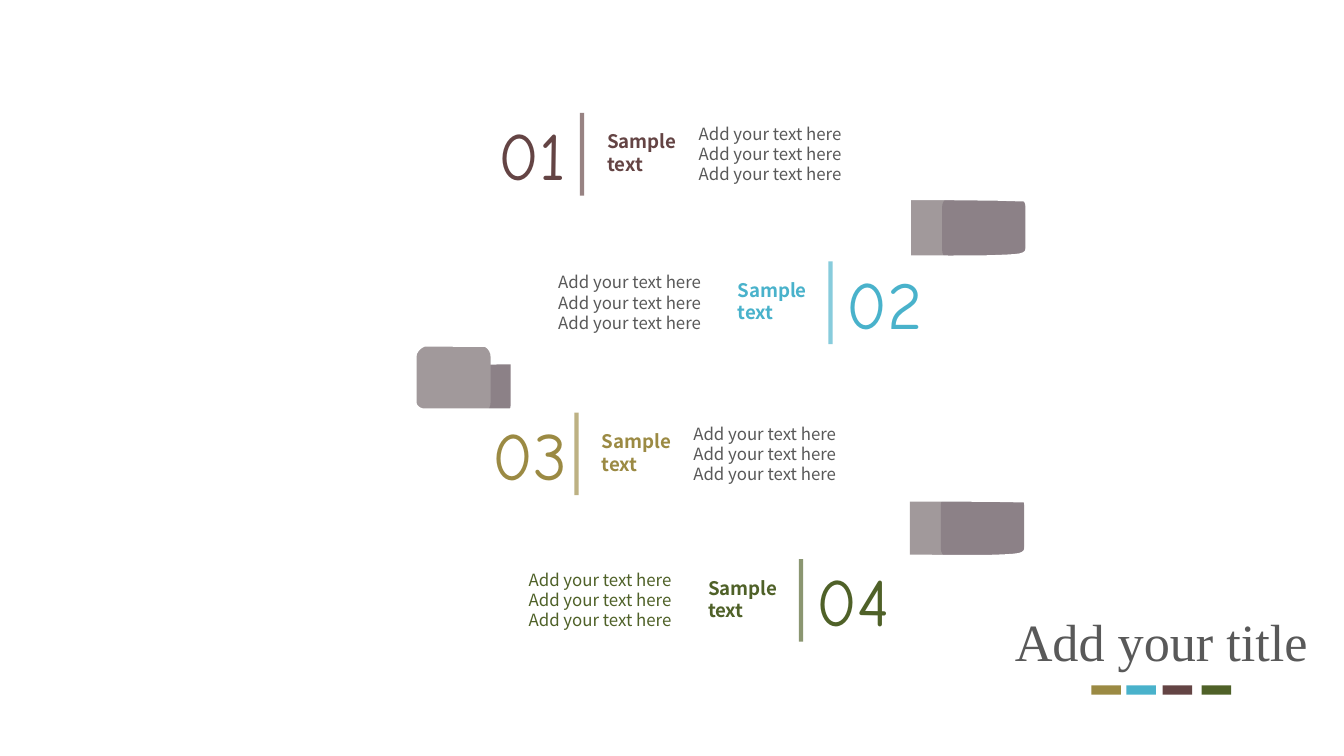
from lxml import etree
from pptx import Presentation
from pptx.dml.color import RGBColor
from pptx.enum.shapes import MSO_CONNECTOR, MSO_SHAPE
from pptx.enum.text import MSO_ANCHOR, MSO_AUTO_SIZE, PP_ALIGN
from pptx.oxml.ns import qn
from pptx.util import Inches, Pt

STRAIGHT = MSO_CONNECTOR.STRAIGHT
RECTANGLE, ROUNDED = MSO_SHAPE.RECTANGLE, MSO_SHAPE.ROUNDED_RECTANGLE
TOP, GROW = MSO_ANCHOR.TOP, MSO_AUTO_SIZE.SHAPE_TO_FIT_TEXT
LEFT, CENTER = PP_ALIGN.LEFT, PP_ALIGN.CENTER

COLUMNS = 100  # grid of tenth-inch cells
ROWS = COLUMNS * 9 / 16
BROWN, BLUE, GOLD, GREEN = "644444", "49B2CB", "9B8A43", "4F6128"
GREY, LIGHT_TAB, DARK_TAB, PAPER = "595959", "A1999B", "8C8187", "FFFFFF"

# Ribbon outlines in cells: a start point, then lines (x, y)
# and curves (two control points and an end point).
RIBBON_ONE = [(30.9, 7.4), (31.1, 7.5, 31.1, 7.9, 31.6, 8), (69.6, 8),
              (70.4, 8.2, 70.4, 8.3, 70.9, 8.9), (71.8, 9.9, 75.2, 13.3, 76.4, 15),
              (70.7, 14.7, 43.9, 15.1, 37.1, 15), (36.8, 15, 36.1, 14.9, 35.8, 14.4),
              (33.4, 11.1, 31.1, 8.4, 30.9, 7.4)]
RIBBON_TWO = [(30.9, 26.5), (31.1, 26.3, 31.1, 26, 31.6, 25.8), (69.6, 25.9),
              (70, 26, 70.7, 25.7, 71.2, 25.1), (75.4, 20.4, 76.5, 19.7, 76.5, 17.9),
              (76.1, 18.9, 76.9, 18.9, 73.3, 19), (66.7, 19.1, 43.2, 18.7, 37.1, 18.8),
              (36.9, 18.8, 36.1, 19, 35.8, 19.4), (33.4, 22.8, 31.1, 25.4, 30.9, 26.5)]
RIBBON_TWO_BACK = [(72.3, 19.6), (72.1, 19.8, 72.2, 20.1, 71.8, 20.3), (40.5, 20.1),
                   (39.8, 20.4, 39.8, 20.5, 39.4, 21), (38.7, 22, 36, 25.5, 35, 27.2),
                   (39.7, 26.9, 61.8, 27.3, 67.4, 27.3), (67.6, 27.3, 68.2, 27.1, 68.4, 26.7),
                   (70.3, 23.3, 72.2, 20.7, 72.3, 19.6)]
RIBBON_THREE = [(30.8, 29.8), (31, 29.9, 31, 30.3, 31.5, 30.4), (69.5, 30.4),
                (70.3, 30.7, 70.4, 30.7, 70.9, 31.3), (71.8, 32.3, 75.1, 35.7, 76.4, 37.4),
                (70.6, 37.2, 43.8, 37.5, 37, 37.4), (36.8, 37.5, 36, 37.3, 35.7, 36.8),
                (33.3, 33.5, 31, 30.8, 30.8, 29.8)]
RIBBON_FOUR = [(30.8, 48.8), (30.9, 48.6, 30.9, 48.2, 31.4, 48.1), (69.4, 48.1),
               (69.9, 48.3, 70.6, 47.9, 71, 47.4), (75.3, 42.7, 76.3, 41.9, 76.4, 40.2),
               (76, 41.2, 76.8, 41.2, 73.2, 41.3), (66.5, 41.3, 43, 41, 36.9, 41.1),
               (36.7, 41.1, 36, 41.2, 35.7, 41.7), (33.2, 45.1, 30.9, 47.7, 30.8, 48.8)]

# number, colour, body colour, rule column, rule row, number on the left
STEPS = [("01", BROWN, GREY, 43.3, 8.4, True), ("02", BLUE, GREY, 61.8, 19.45, False),
         ("03", GOLD, GREY, 42.9, 30.7, True), ("04", GREEN, GREEN, 59.6, 41.6, False)]


def cells(*values):
    return [Inches(value / 10) for value in values]


def color(hex_string):
    return RGBColor.from_string(hex_string)


def write(box, text, *, size, font, fill, bold=False, align=LEFT):
    """Fill a box with one paragraph per line of text."""
    frame = box.text_frame
    frame.word_wrap, frame.auto_size, frame.vertical_anchor = True, GROW, TOP
    frame.text = text
    for para in frame.paragraphs:
        para.alignment = align
        for span in para.runs:
            span.font.size, span.font.name, span.font.bold = Pt(size), font, bold
            span.font.color.rgb = color(fill)


def outline_points(path, steps=10):
    """Turn lines and Bézier curves into a list of points."""
    points = [path[0]]
    for segment in path[1:]:
        if len(segment) == 2:
            points.append(segment)
            continue
        knots = [points[-1], segment[:2], segment[2:4], segment[4:]]
        for step in range(1, steps + 1):
            t = step / steps
            weights = ((1 - t) ** 3, 3 * t * (1 - t) ** 2, 3 * t * t * (1 - t), t ** 3)
            points.append(tuple(sum(w * knot[axis] for w, knot in zip(weights, knots))
                                for axis in (0, 1)))
    return points


class Canvas:
    """Fonts plus the page, or the group on it, that receives new elements."""
    number_font, text_font, title_font = "Comic Neue", "Noto Sans CJK KR", "Times New Roman"

    def __init__(self, page):
        self.page, self.shapes = page, page.shapes

    def paint(self, shape, fill):
        shape.shadow.inherit = False
        shape.fill.solid()
        shape.fill.fore_color.rgb = color(fill)
        shape.line.fill.background()

    def block(self, kind, left, top, width, height, fill):
        shape = self.shapes.add_shape(kind, *cells(left, top, width, height))
        self.paint(shape, fill)

    def ribbon(self, path):
        points = [cells(*point) for point in outline_points(path)]
        builder = self.shapes.build_freeform(*points[0])
        builder.add_line_segments(points[1:], close=True)
        self.paint(builder.convert_to_shape(), PAPER)

    def text(self, text, left, top, width, height, **style):
        write(self.shapes.add_textbox(*cells(left, top, width, height)), text, **style)

    def title(self, text, left, top, width, height, **style):
        box = self.page.shapes.title
        box.left, box.top, box.width, box.height = cells(left, top, width, height)
        write(box, text, font=self.title_font, **style)

    def rule(self, column, row, height, fill, opacity):
        line = self.shapes.add_connector(STRAIGHT, *cells(column, row, column, row + height))
        line.line.width = Pt(2.25)
        line.line.color.rgb = color(fill)
        properties = line._element.spPr
        alpha = etree.SubElement(properties.find(".//" + qn("a:srgbClr")), qn("a:alpha"))
        alpha.set("val", str(opacity * 1000))
        etree.SubElement(properties, qn("a:effectLst"))

    def step(self, number, fill, body_fill, column, row, number_left):
        """Group a number, its rule, a heading and a body around the rule's place."""
        number_at, heading_at, body_at = (-7.2, 0.9, 7.7) if number_left else (0.2, -7.9, -21.25)
        self.shapes = self.page.shapes.add_group_shape().shapes
        self.text(number, column + number_at, row - 0.45, 11.6, 7,
                  size=36, font=self.number_font, fill=fill)
        self.rule(column, row, 6.15, fill, 65)
        self.text("Sample\ntext", column + heading_at, row + 0.8, 8.6, 4.4,
                  size=10, font=self.text_font, fill=fill, bold=True)
        self.text("\n".join(["Add your text here"] * 3), column + body_at, row + 0.3, 15.1, 5.5,
                  size=9, font=self.text_font, fill=body_fill)
        self.shapes = self.page.shapes


def main():
    deck = Presentation()
    deck.slide_width, deck.slide_height = cells(COLUMNS, ROWS)
    canvas = Canvas(deck.slides.add_slide(deck.slide_layouts[5]))

    canvas.block(ROUNDED, 31.8, 26.1, 6.2, 4.8, DARK_TAB)
    canvas.ribbon(RIBBON_TWO_BACK)
    canvas.block(ROUNDED, 31, 25.7, 5.5, 5.1, LIGHT_TAB)
    for left, top, ribbon in ((67.8, 13.2, RIBBON_TWO), (67.7, 35.4, RIBBON_THREE)):
        canvas.block(ROUNDED, left, top, 6.2, 7.6, LIGHT_TAB)
        canvas.block(ROUNDED, left + 2.3, top + 1.4, 6.2, 4.8, DARK_TAB)
        canvas.ribbon(ribbon)
    canvas.ribbon(RIBBON_ONE)
    canvas.ribbon(RIBBON_FOUR)

    for step in STEPS:
        canvas.step(*step)

    canvas.title("Add your title", 73, 44.8, 26.8, 5.7, size=28, fill=GREY, align=CENTER)
    for left, fill in ((81.2, GOLD), (83.8, BLUE), (86.5, BROWN), (89.4, GREEN)):
        canvas.block(RECTANGLE, left, 51, 2.2, 0.7, fill)

    deck.save("out.pptx")


if __name__ == "__main__":
    main()
